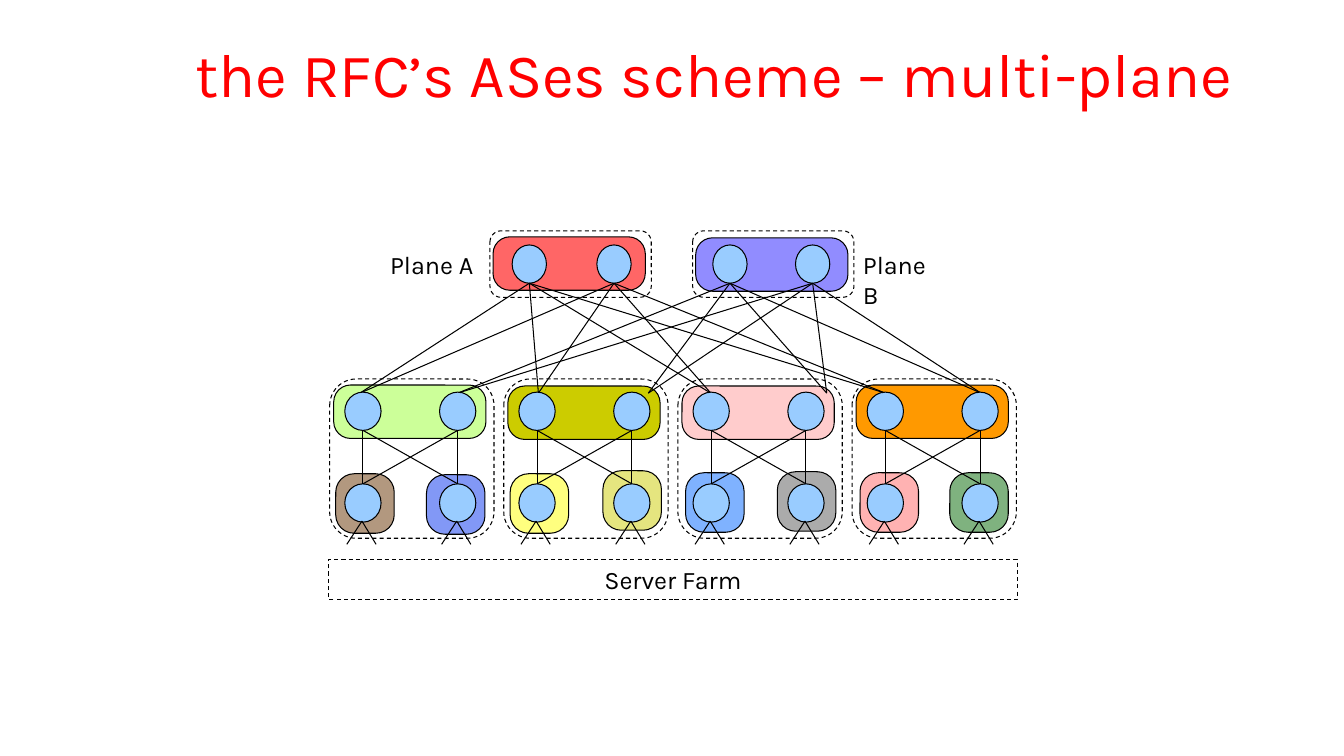
from lxml.etree import SubElement
from pptx import Presentation
from pptx.dml.color import RGBColor
from pptx.enum.dml import MSO_LINE
from pptx.enum.shapes import MSO_CONNECTOR, MSO_SHAPE
from pptx.enum.text import MSO_ANCHOR, PP_ALIGN
from pptx.oxml.ns import qn
from pptx.util import Inches, Pt

# Content
TITLE = "the RFC’s ASes scheme – multi-plane"
FARM_LABEL = "Server Farm"
FONT = "Karla"
BLACK, RED, NODE_BLUE = "000000", "FF0000", "99CCFF"

# Each plane: frame left, AS box position, colour, spine centres, leaf ends
PLANES = [
    (4.86, (4.89, 2.35), "FF6666", (5.25, 6.09), (3.57, 5.34, 7.05, 8.78)),
    (6.87, (6.9, 2.36), "918CFF", (7.24, 8.06), (4.54, 6.43, 8.2, 9.73)),
]
PLANE_LABELS = [("Plane A", 3.77, 1.07), ("Plane B", 8.46, 1.0)]

# Each pod: leaf AS colour and top, then its two rack AS boxes (left, top, colour)
PODS = [
    ("CCFF99", 3.82, [(3.33, 4.7, "663300"), (4.23, 4.71, "0732EF")]),
    ("CCCC00", 3.83, [(5.06, 4.7, "FFFF00"), (5.98, 4.67, "CCCC00")]),
    ("FFCCCC", 3.83, [(6.8, 4.69, "0066FF"), (7.71, 4.68, "595959")]),
    ("FF9900", 3.82, [(8.53, 4.69, "FF6666"), (9.42, 4.69, "006600")]),
]

# Layout
POD_LEFT, POD_PITCH, POD_TOP = 3.27, 1.727, 3.76
NODE_OFFSETS = (0.33, 1.27)
NODE_HEIGHT = 0.38
SPINE_TOP, LEAF_TOP, RACK_TOP = 2.43, 3.89, 4.8
AS_WIDTH, AS_HEIGHT, AS_ROUNDING = 1.51, 0.53, 0.315


def color(hex_text):
    return RGBColor.from_string(hex_text)


def add_box(parent, kind, left, top, width, height, fill=None, alpha=None, rounding=None):
    """Outlined shape; without a fill its outline is dashed."""
    shape = parent.add_shape(kind, Inches(left), Inches(top), Inches(width), Inches(height))
    shape.shadow.inherit = False
    shape.line.color.rgb = color(BLACK)
    shape.line.width = Pt(0.75)
    if rounding is not None:
        shape.adjustments[0] = rounding
    if fill is None:
        shape.fill.background()
        shape.line.dash_style = MSO_LINE.DASH
    else:
        shape.fill.solid()
        shape.fill.fore_color.rgb = color(fill)
    if alpha is not None:
        fill_color = shape.fill._xPr.find(qn("a:solidFill"))[0]
        SubElement(fill_color, qn("a:alpha"), val=str(alpha * 1000))
    return shape


def add_node(parent, center, top, width):
    add_box(parent, MSO_SHAPE.OVAL, center - width / 2, top, width, NODE_HEIGHT, NODE_BLUE)


def add_line(parent, x1, y1, x2, y2):
    connector = parent.add_connector(
        MSO_CONNECTOR.STRAIGHT, Inches(x1), Inches(y1), Inches(x2), Inches(y2))
    connector.line.color.rgb = color(BLACK)
    connector.line.width = Pt(0.75)
    SubElement(connector._element.spPr, qn("a:effectLst"))


def set_text(shape, text, size, text_color, align):
    frame = shape.text_frame
    frame.word_wrap = True
    paragraph = frame.paragraphs[0]
    paragraph.alignment = align
    run = paragraph.add_run()
    run.text = text
    run.font.size = Pt(size)
    run.font.name = FONT
    run.font.color.rgb = color(text_color)


def add_pod(shapes, left):
    """Two leaf and two rack switches, fully meshed, with server links."""
    pod = shapes.add_group_shape().shapes
    centers = [left + offset for offset in NODE_OFFSETS]
    for center in centers:
        for top in (LEAF_TOP, RACK_TOP):
            add_node(pod, center, top, 0.36)
        for leaf in centers:
            add_line(pod, center, RACK_TOP, leaf, LEAF_TOP + NODE_HEIGHT)
        for spread in (-0.15, 0.14):
            add_line(pod, center - 0.01, 5.17, center - 0.01 + spread, 5.4)
    add_box(pod, MSO_SHAPE.ROUNDED_RECTANGLE, left, POD_TOP, 1.63, 1.58)


def main():
    presentation = Presentation()
    presentation.slide_width, presentation.slide_height = Inches(13.33), Inches(7.5)
    slide = presentation.slides.add_slide(presentation.slide_layouts[5])
    shapes = slide.shapes

    # Title
    title = shapes.title
    title.left, title.top = Inches(1.09), Inches(0.1)
    title.width, title.height = Inches(12), Inches(1.25)
    title.text_frame.vertical_anchor = MSO_ANCHOR.MIDDLE
    set_text(title, TITLE, 44, RED, PP_ALIGN.CENTER)

    # AS boxes
    pod_lefts = [POD_LEFT + index * POD_PITCH for index in range(len(PODS))]
    as_boxes = [(left, top, fill) for _, (left, top), fill, _, _ in PLANES]
    as_boxes += [(left + 0.04, top, fill)
                 for left, (fill, top, _) in zip(pod_lefts, PODS)]
    for left, top, fill in as_boxes:
        add_box(shapes, MSO_SHAPE.ROUNDED_RECTANGLE, left, top,
                AS_WIDTH, AS_HEIGHT, fill, rounding=AS_ROUNDING)
    for _, _, racks in PODS:
        for left, top, fill in racks:
            add_box(shapes, MSO_SHAPE.ROUNDED_RECTANGLE, left, top,
                    0.58, 0.59, fill, alpha=50, rounding=AS_ROUNDING)

    # Spine switches and their links to the leaves
    for frame_left, _, _, spines, leaf_ends in PLANES:
        for spine in spines:
            add_node(shapes, spine, SPINE_TOP, 0.34)
            for leaf_end in leaf_ends:
                add_line(shapes, spine, SPINE_TOP + NODE_HEIGHT, leaf_end, 3.9)
        add_box(shapes, MSO_SHAPE.ROUNDED_RECTANGLE, frame_left, 2.29, 1.6, 0.66)

    # Pods
    for left in pod_lefts:
        add_pod(shapes, left)

    # Server farm and plane labels
    farm = add_box(shapes, MSO_SHAPE.RECTANGLE, 3.26, 5.55, 6.83, 0.4)
    set_text(farm, FARM_LABEL, 18, BLACK, PP_ALIGN.CENTER)
    for text, left, width in PLANE_LABELS:
        label = shapes.add_textbox(Inches(left), Inches(2.42), Inches(width), Inches(0.4))
        set_text(label, text, 18, BLACK, PP_ALIGN.LEFT)

    presentation.save("out.pptx")


if __name__ == "__main__":
    main()
